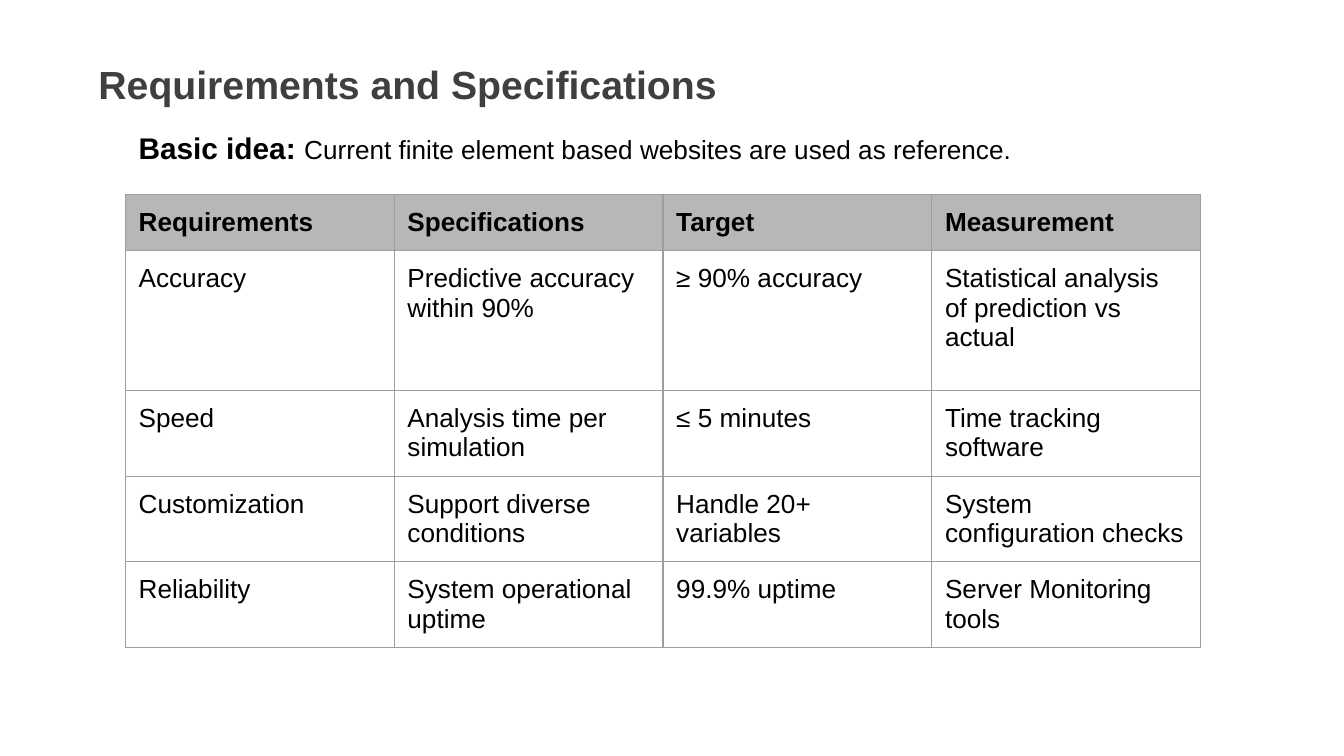
from lxml import etree
from pptx import Presentation
from pptx.dml.color import RGBColor
from pptx.enum.text import MSO_ANCHOR, PP_ALIGN
from pptx.oxml.ns import qn
from pptx.util import Cm, Pt

LEFT = PP_ALIGN.LEFT
TOP = MSO_ANCHOR.TOP
MIDDLE = MSO_ANCHOR.MIDDLE


def color(code):
    return RGBColor.from_string(code)


def write(para, text, size=14, bold=False, ink="000000"):
    para.alignment = LEFT
    run = para.add_run()
    run.text = text
    run.font.name = "Arial"
    run.font.size = Pt(size)
    run.font.bold = bold
    run.font.color.rgb = color(ink)


deck = Presentation()
deck.slide_width, deck.slide_height = Cm(25.4), Cm(14.29)
slide = deck.slides.add_slide(deck.slide_layouts[5])

# Title
title = slide.shapes.title
title.left, title.top, title.width, title.height = Cm(1.68), Cm(0.97), Cm(22.25), Cm(1.24)
frame = title.text_frame
frame.word_wrap = True
frame.vertical_anchor = MIDDLE
frame.margin_left = frame.margin_right = Cm(0.18)
frame.margin_top = frame.margin_bottom = Cm(0.1)
write(frame.paragraphs[0], "Requirements and Specifications", size=21, bold=True, ink="3F3F3F")

# Table
rows = [
    ["Requirements", "Specifications", "Target", "Measurement"],
    ["Accuracy", "Predictive accuracy within 90%", "≥ 90% accuracy",
     "Statistical analysis of prediction vs actual"],
    ["Speed", "Analysis time per simulation", "≤ 5 minutes", "Time tracking software"],
    ["Customization", "Support diverse conditions", "Handle 20+ variables",
     "System configuration checks"],
    ["Reliability", "System operational uptime", "99.9% uptime", "Server Monitoring tools"],
]
tall = [1.06, 2.64, 1.62, 1.62, 1.62]
wide = 5.08
table = slide.shapes.add_table(
    len(rows), 4, Cm(2.37), Cm(3.68), Cm(4 * wide), Cm(sum(tall))).table
for col in table.columns:
    col.width = Cm(wide)

for r, texts in enumerate(rows):
    table.rows[r].height = Cm(tall[r])
    for c, text in enumerate(texts):
        cell = table.cell(r, c)
        cell.vertical_anchor = TOP
        cell.margin_left = cell.margin_right = Cm(0.25)
        cell.margin_top = cell.margin_bottom = Cm(0.25)
        write(cell.text_frame.paragraphs[0], text, bold=r == 0)

        # Borders come before the fill in the cell's XML
        props = cell._tc.get_or_add_tcPr()
        for side in ("lnL", "lnR", "lnT", "lnB"):
            line = etree.SubElement(props, qn("a:" + side), w=str(Pt(0.75)))
            solid = etree.SubElement(line, qn("a:solidFill"))
            etree.SubElement(solid, qn("a:srgbClr"), val="9E9E9E")
        if r == 0:
            cell.fill.solid()
            cell.fill.fore_color.rgb = color("B7B7B7")
        else:
            cell.fill.background()

# Basic idea
box = slide.shapes.add_textbox(Cm(2.37), Cm(2.21), Cm(19.7), Cm(1.24))
frame = box.text_frame
frame.word_wrap = True
frame.margin_left = frame.margin_right = Cm(0.25)
frame.margin_top = frame.margin_bottom = Cm(0.25)
idea = frame.paragraphs[0]
write(idea, "Basic idea: ", size=16, bold=True)
write(idea, "Current finite element based websites are used as reference.")

deck.save("out.pptx")
